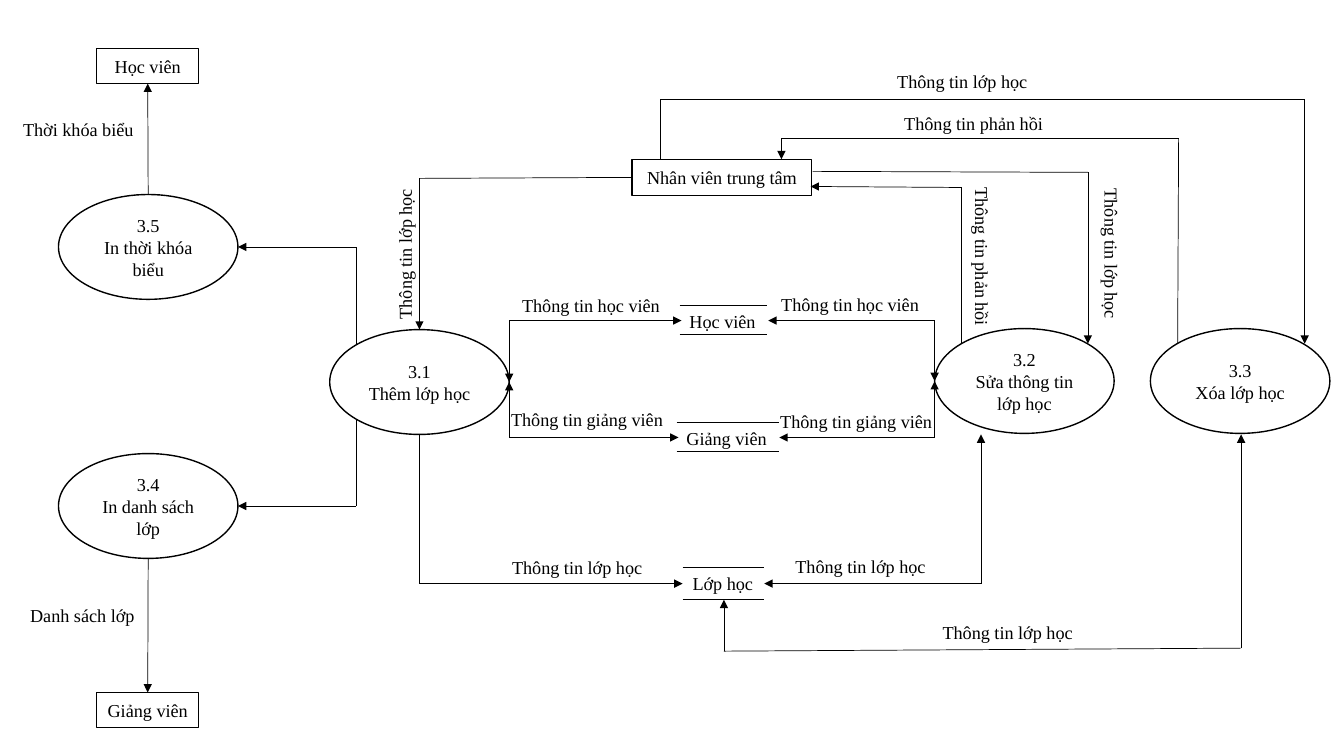
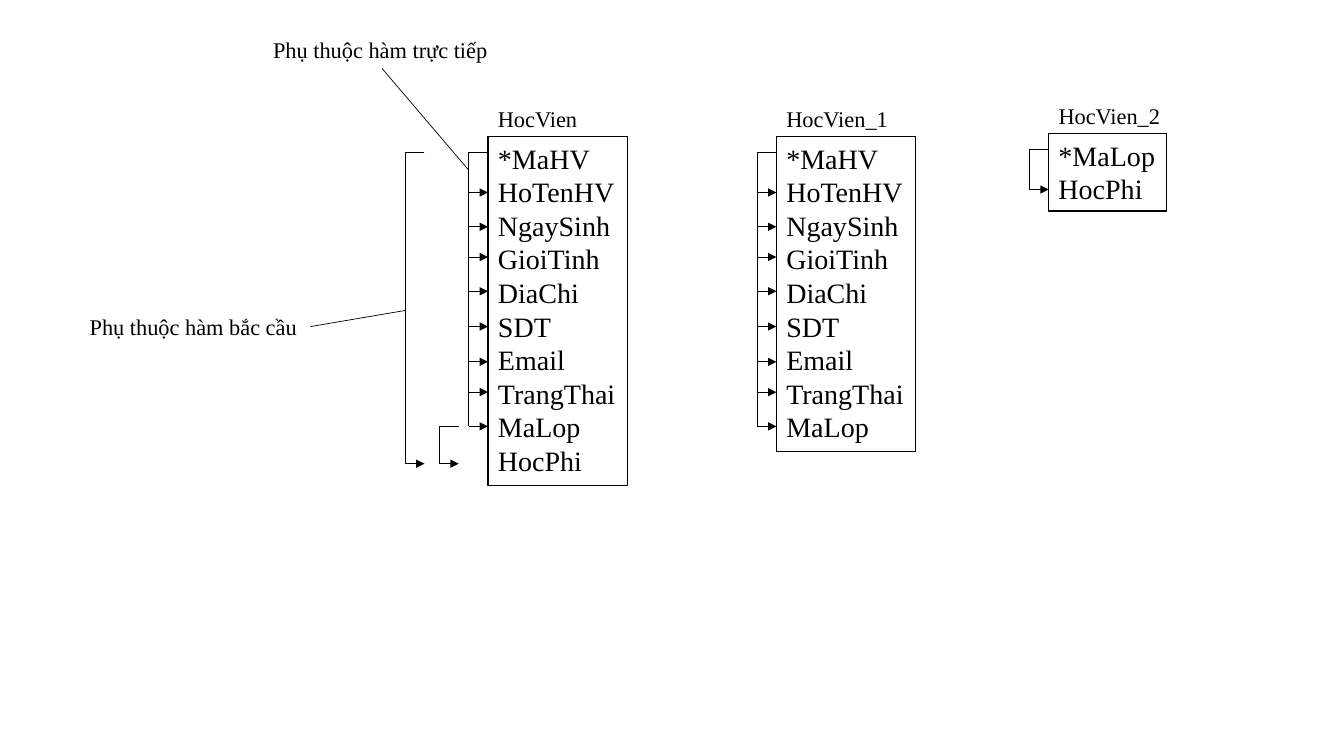
from itertools import pairwise

from lxml import etree
from pptx import Presentation
from pptx.dml.color import RGBColor
from pptx.enum import shapes, text
from pptx.oxml import ns
from pptx.util import Inches, Pt

COLORS = {"ink": "000000", "paper": "FFFFFF"}
FONT = "Times New Roman"

# Data flow diagram
PROCESS_SIZE = (1.78, 1.04)
PROCESSES = [  # lines, left, top
    (["3.1", "Thêm lớp học"], 3.27, 3.27),
    (["3.2", "Sửa thông tin lớp học"], 9.27, 3.26),
    (["3.3", "Xóa lớp học"], 11.41, 3.26),
    (["3.4", "In danh sách lớp"], 0.58, 4.5),
    (["3.5", "In thời khóa biểu"], 0.58, 1.93),
]
ENTITIES = [  # name, left, top, width, height
    ("Nhân viên trung tâm", 6.27, 1.58, 1.78, 0.36),
    ("Học viên", 0.96, 0.48, 1.01, 0.35),
    ("Giảng viên", 0.96, 6.87, 1.01, 0.35),
]
STORES = [  # name, left, width, top rule, bottom rule
    ("Học viên", 6.74, 0.87, 3.03, 3.32),
    ("Giảng viên", 6.71, 1.02, 4.19, 4.48),
    ("Lớp học", 6.77, 0.81, 5.63, 5.95),
]
CLASS_INFO, REPLY = "Thông tin lớp học", "Thông tin phản hồi"
STUDENT_INFO, TEACHER_INFO = "Thông tin học viên", "Thông tin giảng viên"
TIMETABLE, CLASS_LIST = "Thời khóa biểu", "Danh sách lớp"
LABEL_WIDTHS = {CLASS_INFO: 1.51, REPLY: 1.6, STUDENT_INFO: 1.59,
                TEACHER_INFO: 1.79, TIMETABLE: 1.32, CLASS_LIST: 1.32}
LABELS = [  # text, left, top, rotation
    (CLASS_INFO, 3.26, 2.35, 270),
    (CLASS_INFO, 10.27, 2.37, 90),
    (CLASS_INFO, 8.8, 0.65, 0),
    (CLASS_INFO, 9.25, 6.11, 0),
    (CLASS_INFO, 7.79, 5.46, 0),
    (CLASS_INFO, 4.98, 5.47, 0),
    (REPLY, 8.94, 2.4, 90),
    (REPLY, 8.87, 1.06, 0),
    (STUDENT_INFO, 5.08, 2.87, 0),
    (STUDENT_INFO, 7.65, 2.86, 0),
    (TEACHER_INFO, 4.97, 4, 0),
    (TEACHER_INFO, 7.64, 4.02, 0),
    (TIMETABLE, 0.13, 1.12, 0),
    (CLASS_LIST, 0.2, 5.95, 0),
]
ONE_WAY_FLOWS = [  # corner points; a (name, side) pair joins an end to a node
    ([(6.27, 1.77), (4.16, 1.77), (4.16, 3.27)],
     ("Nhân viên trung tâm", 1), ("3.1", 0)),
    ([(8.06, 1.7), (10.79, 1.71), (10.79, 3.41)], None, None),
    ([(9.53, 3.41), (9.53, 1.86), (8.04, 1.85)], None, None),
    ([(6.55, 1.58), (6.55, 0.99), (12.94, 0.99), (12.94, 3.41)], None, None),
    ([(11.68, 3.41), (11.69, 1.37), (7.75, 1.37), (7.75, 1.58)], None, None),
    ([(4.16, 4.31), (4.16, 5.79), (6.77, 5.79)], None, None),
    ([(3.53, 4.16), (3.53, 5.02), (2.36, 5.02)], None, None),
    ([(3.53, 3.42), (3.53, 2.45), (2.36, 2.45)], None, None),
    ([(1.47, 1.93), (1.47, 0.83)], ("3.5", 0), ("Học viên", 2)),
    ([(1.47, 5.54), (1.47, 6.87)], None, ("Giảng viên", 0)),
]
TWO_WAY_FLOWS = [
    [(9.73, 4.31), (9.73, 5.79), (7.58, 5.79)],
    [(12.31, 4.31), (12.31, 6.43), (7.18, 6.46), (7.18, 5.95)],
    [(9.27, 3.78), (9.27, 3.18), (7.62, 3.18)],
    [(5.05, 3.79), (5.05, 3.18), (6.76, 3.18)],
    [(9.27, 3.78), (9.27, 4.34), (7.73, 4.34)],
    [(5.05, 3.79), (5.05, 4.34), (6.73, 4.34)],
]

# Functional dependencies
FIELDS = ["*MaHV", "HoTenHV", "NgaySinh", "GioiTinh", "DiaChi", "SDT",
          "Email", "TrangThai", "MaLop", "HocPhi"]
RELATIONS = [  # name, fields, left, top, width, name width, dependent rows
    ("HocVien", FIELDS, 4.84, 1.35, 1.38, 1, 8),
    ("HocVien_1", FIELDS[:-1], 7.7, 1.35, 1.38, 1.22, 8),
    ("HocVien_2", ["*MaLop", "HocPhi"], 10.4, 1.32, 1.17, 1.22, 1),
]
ROW_DROPS = [0, 0.4, 0.74, 1.04, 1.38, 1.73, 2.08, 2.38, 2.72, 3.09]
KEY_DROP, ROW_HEIGHT, BRACKET = 0.16, 0.337, 0.19
OUTER_BRACKETS = [(4.02, 0, 9), (4.36, 8, 9)]  # left, from row, to row
NOTES = [  # text, left, top, width, pointer
    ("Phụ thuộc hàm trực tiếp", 2.61, 0.31, 2.36, [(3.79, 0.68), (4.65, 1.69)]),
    ("Phụ thuộc hàm bắc cầu", 0.79, 3.06, 2.29, [(3.08, 3.24), (4.02, 3.08)]),
]


def color(name):
    return RGBColor.from_string(COLORS[name])


def write(shape, lines, size, align=text.PP_ALIGN.LEFT, wrap=False):
    frame = shape.text_frame
    frame.text = "\n".join(lines)
    frame.word_wrap = wrap
    for para in frame.paragraphs:
        para.alignment = align
        for span in para.runs:
            span.font.size, span.font.name = Pt(size), FONT
            span.font.color.rgb = color("ink")


def add_label(page, words, left, top, width, size=13, height=0.32, wrap=False):
    box = page.shapes.add_textbox(*map(Inches, (left, top, width, height)))
    write(box, [words], size, wrap=wrap)
    return box


def add_node(page, kind, frame, line_width, fill=None):
    node = page.shapes.add_shape(kind, *map(Inches, frame))
    node.shadow.inherit = False
    if fill:
        node.fill.solid()
        node.fill.fore_color.rgb = color(fill)
    else:
        node.fill.background()
    node.line.color.rgb = color("ink")
    node.line.width = Pt(line_width)
    return node


def add_route(page, points, start_arrow=False, end_arrow=False):
    """Draw straight connectors through the points and return them."""
    links = []
    for start, end in pairwise(points):
        link = page.shapes.add_connector(
            shapes.MSO_CONNECTOR.STRAIGHT, *map(Inches, (*start, *end)))
        link.line.color.rgb = color("ink")
        link.line.width = Pt(0.5)
        etree.SubElement(link._element.spPr, ns.qn("a:effectLst"))
        links.append(link)
    for link, tag, wanted in ((links[0], "a:headEnd", start_arrow),
                              (links[-1], "a:tailEnd", end_arrow)):
        if wanted:
            line = link.line._get_or_add_ln()
            etree.SubElement(line, ns.qn(tag), type="triangle")
    return links


def build_flow_diagram(page):
    nodes = {}
    for lines, left, top in PROCESSES:
        node = add_node(page, shapes.MSO_SHAPE.OVAL,
                        (left, top, *PROCESS_SIZE), 1, "paper")
        write(node, lines, 13, text.PP_ALIGN.CENTER, wrap=True)
        nodes[lines[0]] = node
    for name, *frame in ENTITIES:
        nodes[name] = add_node(page, shapes.MSO_SHAPE.RECTANGLE, frame, 1, "paper")
        write(nodes[name], [name], 13, text.PP_ALIGN.CENTER)
    for name, left, width, top, bottom in STORES:
        for y in (top, bottom):
            add_route(page, [(left, y), (left + width, y)])
        add_label(page, name, left, top, width)
    for points, source, target in ONE_WAY_FLOWS:
        links = add_route(page, points, end_arrow=True)
        if source:
            links[0].begin_connect(nodes[source[0]], source[1])
        if target:
            links[-1].end_connect(nodes[target[0]], target[1])
    for points in TWO_WAY_FLOWS:
        add_route(page, points, start_arrow=True, end_arrow=True)
    for words, left, top, rotation in LABELS:
        label = add_label(page, words, left, top, LABEL_WIDTHS[words], wrap=True)
        label.rotation = rotation


def add_bracket(page, left, top, arrows):
    """Lead from the determining row down to an arrow at each dependent row."""
    right = left + BRACKET
    add_route(page, [(right, top), (left, top), (left, arrows[-1]),
                     (right, arrows[-1])], end_arrow=True)
    for y in arrows[:-1]:
        add_route(page, [(left, y), (right, y)], end_arrow=True)


def build_dependencies(page):
    for name, fields, left, top, width, name_width, count in RELATIONS:
        height = 0.1 + ROW_HEIGHT * len(fields)
        node = add_node(page, shapes.MSO_SHAPE.RECTANGLE,
                        (left, top, width, height), 0.75)
        node.text_frame.vertical_anchor = text.MSO_ANCHOR.TOP
        write(node, fields, 20)
        add_label(page, name, left, top - 0.36, name_width, 16, 0.37)
        key = top + KEY_DROP
        add_bracket(page, left - BRACKET, key,
                    [key + drop for drop in ROW_DROPS[1:count + 1]])
    key = RELATIONS[0][3] + KEY_DROP
    for left, first, last in OUTER_BRACKETS:
        add_bracket(page, left, key + ROW_DROPS[first], [key + ROW_DROPS[last]])
    for words, left, top, width, pointer in NOTES:
        add_label(page, words, left, top, width, 16, 0.37)
        add_route(page, pointer)


def main():
    deck = Presentation()
    deck.slide_width, deck.slide_height = Inches(13.33), Inches(7.5)
    for build in (build_flow_diagram, build_dependencies):
        build(deck.slides.add_slide(deck.slide_layouts[6]))
    deck.save("out.pptx")


if __name__ == "__main__":
    main()
